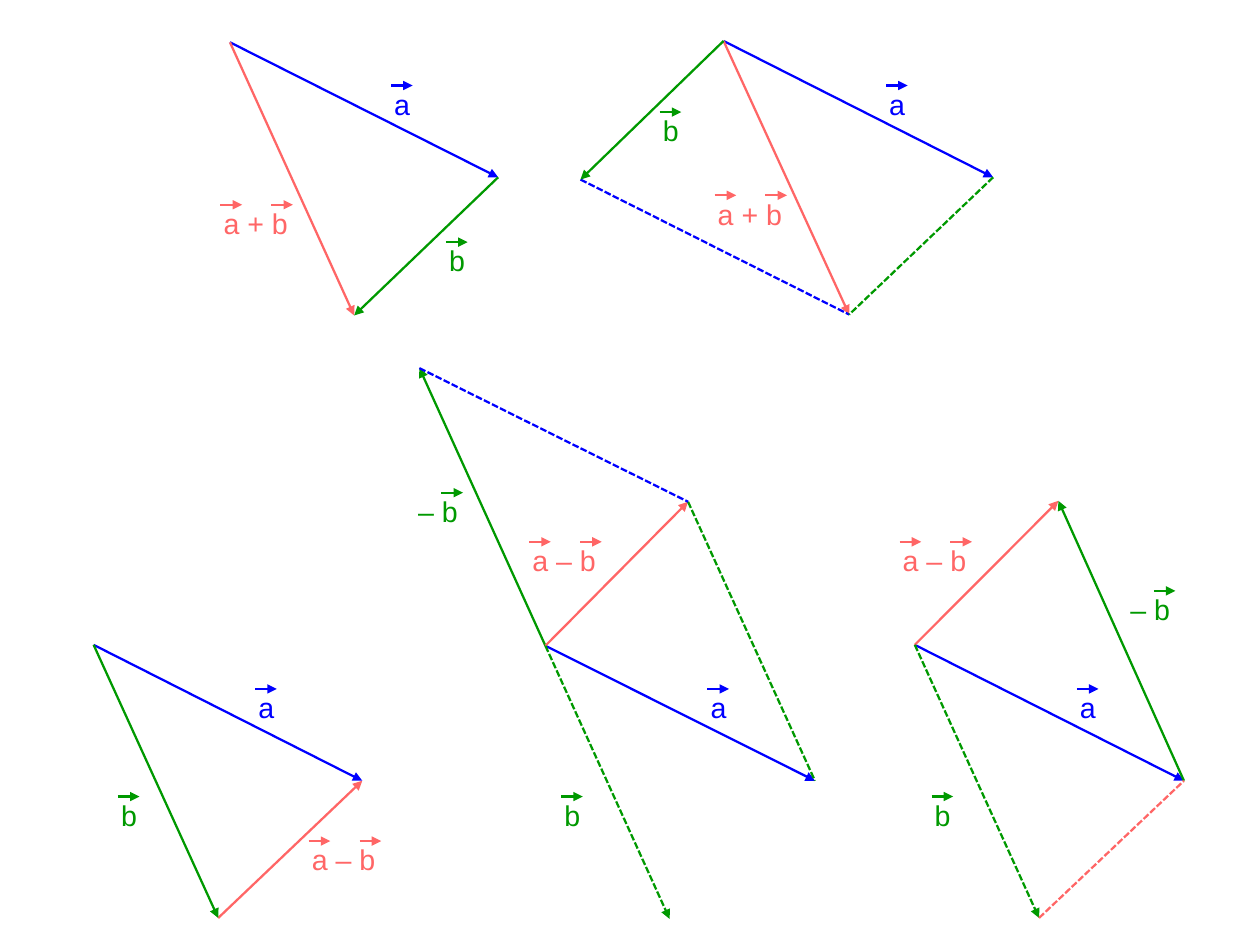
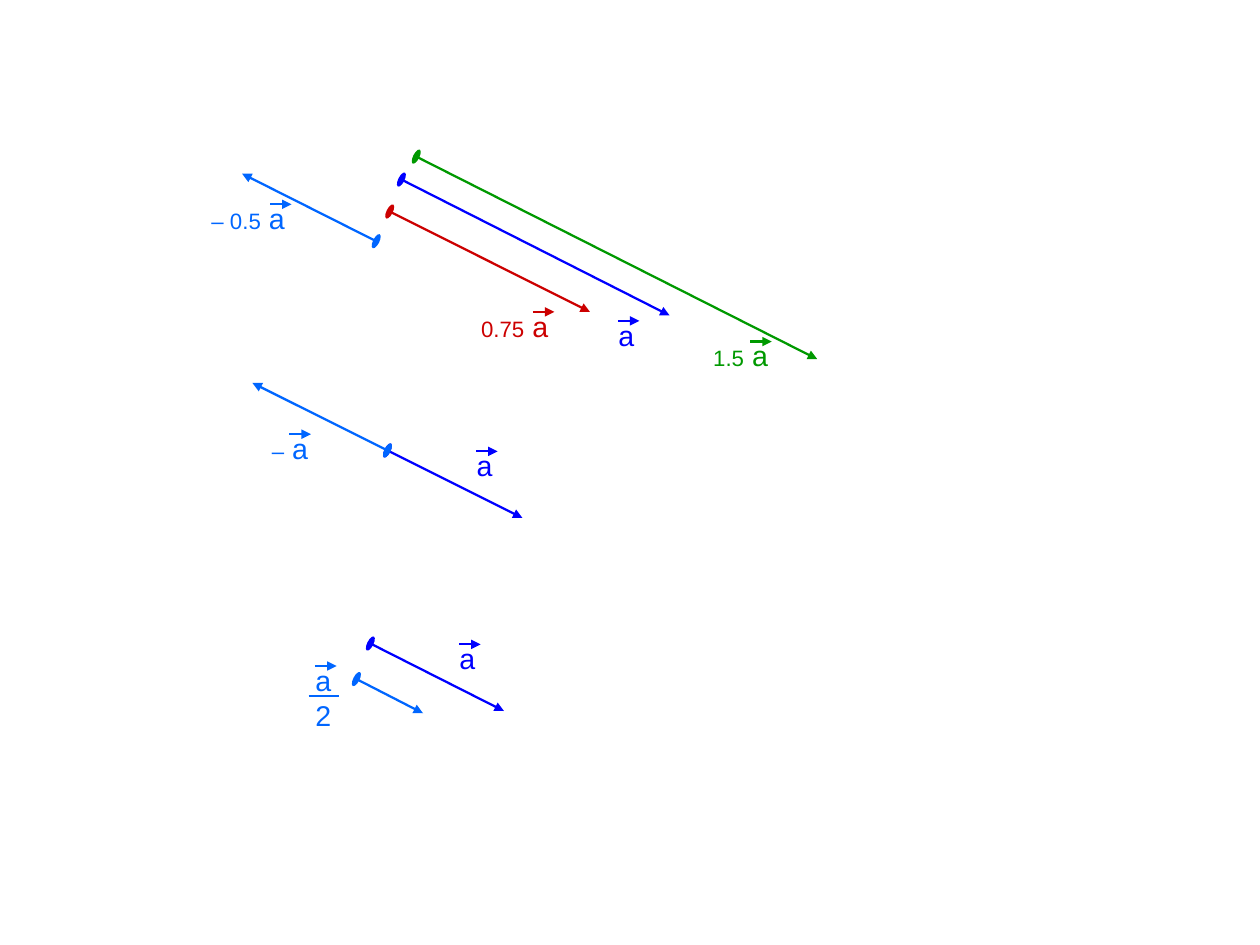
from lxml import etree
from pptx import Presentation
from pptx.dml.color import RGBColor
from pptx.enum.dml import MSO_LINE
from pptx.enum.shapes import MSO_CONNECTOR
from pptx.enum.text import MSO_AUTO_SIZE
from pptx.oxml.ns import qn
from pptx.util import Cm, Pt

BLUE = RGBColor(0x00, 0x00, 0xFF)
GREEN = RGBColor(0x00, 0x99, 0x00)
CORAL = RGBColor(0xFF, 0x66, 0x66)
RED = RGBColor(0xCC, 0x00, 0x00)
SKY = RGBColor(0x00, 0x66, 0xFF)

FRAME = {"word_wrap": True, "auto_size": MSO_AUTO_SIZE.SHAPE_TO_FIT_TEXT,
         "margin_left": Cm(0.25), "margin_right": Cm(0.25),
         "margin_top": Cm(0.13), "margin_bottom": Cm(0.13)}
TRIANGLE = {"type": "triangle", "w": "med", "len": "med"}
OVAL = {"type": "oval", "w": "lg", "len": "sm"}
ARROW_LENGTH = 0.48


def add_line(s, start, end, color, dashed=False, head=None, tail=TRIANGLE, width=1.42):
    sp = s.shapes.add_connector(MSO_CONNECTOR.STRAIGHT, *map(Cm, start + end))
    sp.line.color.rgb = color
    sp.line.width = Pt(width)
    if dashed:
        sp.line.dash_style = MSO_LINE.SQUARE_DOT
    spPr = sp._element.spPr
    ln = spPr.find(qn("a:ln"))
    for tag, ending in (("a:headEnd", head), ("a:tailEnd", tail)):
        if ending:
            etree.SubElement(ln, qn(tag), ending)
    etree.SubElement(spPr, qn("a:effectLst"))


def add_label(s, runs, x, y, width, color, arrows, rise):
    tf = s.shapes.add_textbox(Cm(x), Cm(y), Cm(width), Cm(0.97)).text_frame
    for name, value in FRAME.items():
        setattr(tf, name, value)
    p = tf.paragraphs[0]
    for text, size in runs:
        r = p.add_run()
        r.text = text
        for name, value in {"name": "Arial", "size": Pt(size)}.items():
            setattr(r.font, name, value)
        r.font.color.rgb = color
    for dx in arrows:
        add_line(s, (x + dx, y + rise), (x + dx + ARROW_LENGTH, y + rise), color)


prs = Presentation()
prs.slide_width, prs.slide_height = Cm(28), Cm(21)
blank = prs.slide_layouts[6]

LABEL_STYLES = {
    "a": (0.86, BLUE, [0.18]),
    "b": (0.86, GREEN, [0.18]),
    "– b": (1.45, GREEN, [0.77]),
    "a + b": (2.11, CORAL, [0.18, 1.31]),
    "a – b": (2.11, CORAL, [0.18, 1.31]),
}
SOLID, DASHED, DASHED_ARROW = (False, TRIANGLE), (True, None), (True, TRIANGLE)

figures = [
    ({"O": (5.11, 0.94), "A": (11.07, 3.94), "S": (7.87, 7.01)},
     [("OA", BLUE, SOLID), ("OS", CORAL, SOLID), ("AS", GREEN, SOLID)],
     [("b", 9.73, 5.28), ("a", 8.51, 1.8), ("a + b", 4.72, 4.45)]),
    ({"O": (16.08, 0.91), "A": (22.07, 3.94), "S": (18.87, 6.99), "B": (12.9, 3.99)},
     [("OA", BLUE, SOLID), ("OS", CORAL, SOLID), ("BS", BLUE, DASHED),
      ("AS", GREEN, DASHED), ("OB", GREEN, SOLID)],
     [("a", 19.51, 1.8), ("a + b", 15.7, 4.24), ("b", 14.48, 2.39)]),
    ({"O": (2.08, 14.33), "A": (8.05, 17.35), "B": (4.85, 20.4)},
     [("OA", BLUE, SOLID), ("BA", CORAL, SOLID), ("OB", GREEN, SOLID)],
     [("b", 2.44, 17.6), ("a", 5.49, 15.21), ("a – b", 6.68, 18.59)]),
    ({"O": (20.33, 14.33), "A": (26.31, 17.35), "D": (23.52, 11.13), "B": (23.09, 20.4)},
     [("OA", BLUE, SOLID), ("AD", GREEN, SOLID), ("OD", CORAL, SOLID),
      ("OB", GREEN, DASHED_ARROW), ("BA", CORAL, DASHED)],
     [("a", 23.75, 15.21), ("b", 20.52, 17.6), ("a – b", 19.81, 11.94),
      ("– b", 24.87, 13.03)]),
    ({"O": (12.12, 14.35), "A": (18.11, 17.35), "D": (15.29, 11.15),
      "N": (9.32, 8.18), "B": (14.88, 20.42)},
     [("OA", BLUE, SOLID), ("ON", GREEN, SOLID), ("OD", CORAL, SOLID),
      ("OB", GREEN, DASHED_ARROW), ("DA", GREEN, DASHED), ("ND", BLUE, DASHED)],
     [("a", 15.54, 15.21), ("b", 12.29, 17.6), ("– b", 9.04, 10.85),
      ("a – b", 11.58, 11.94)]),
]

s = prs.slides.add_slide(blank)
for points, edges, labels in figures:
    for (start, end), color, (dashed, tail) in edges:
        add_line(s, points[start], points[end], color, dashed, tail=tail)
    for text, x, y in labels:
        width, color, arrows = LABEL_STYLES[text]
        add_label(s, [(text, 18)], x, y, width, color, arrows, 0.1)

multiples = [
    ((9.25, 3.48), (18.16, 7.98), GREEN),
    ((8.61, 10.01), (11.61, 11.51), BLUE),
    ((8.66, 4.7), (13.11, 6.93), RED),
    ((8.61, 10.01), (5.61, 8.51), SKY),
    ((8.92, 3.99), (14.88, 7.01), BLUE),
    ((8.36, 5.36), (5.38, 3.86), SKY),
    ((8.23, 14.3), (11.2, 15.8), BLUE),
    ((7.92, 15.09), (9.4, 15.85), SKY),
]
multiple_labels = [
    ([("a", 18)], 13.49, 6.93, 0.86, BLUE, [0.24]),
    ([("1.5", 14), (" a", 18)], 15.6, 7.39, 2.03, GREEN, [1.07]),
    ([("0.75", 14), (" a", 18)], 10.44, 6.73, 2.03, RED, [1.4]),
    ([("– 0.5", 14), (" a", 18)], 4.45, 4.34, 2.29, SKY, [1.55]),
    ([("a", 18)], 10.34, 9.83, 0.86, BLUE, [0.24]),
    ([("–", 14), (" a", 18)], 5.79, 9.45, 1.4, SKY, [0.64]),
    ([("a", 18)], 9.96, 14.12, 0.86, BLUE, [0.24]),
    ([("a", 18)], 6.76, 14.6, 0.86, SKY, [0.24]),
    ([("2", 18)], 6.76, 15.39, 0.86, SKY, []),
]

s = prs.slides.add_slide(blank)
for start, end, color in multiples:
    add_line(s, start, end, color, head=OVAL)
for label in multiple_labels:
    add_label(s, *label, 0.2)
add_line(s, (6.86, 15.47), (7.54, 15.47), SKY, tail=None, width=1)

prs.save("out.pptx")
